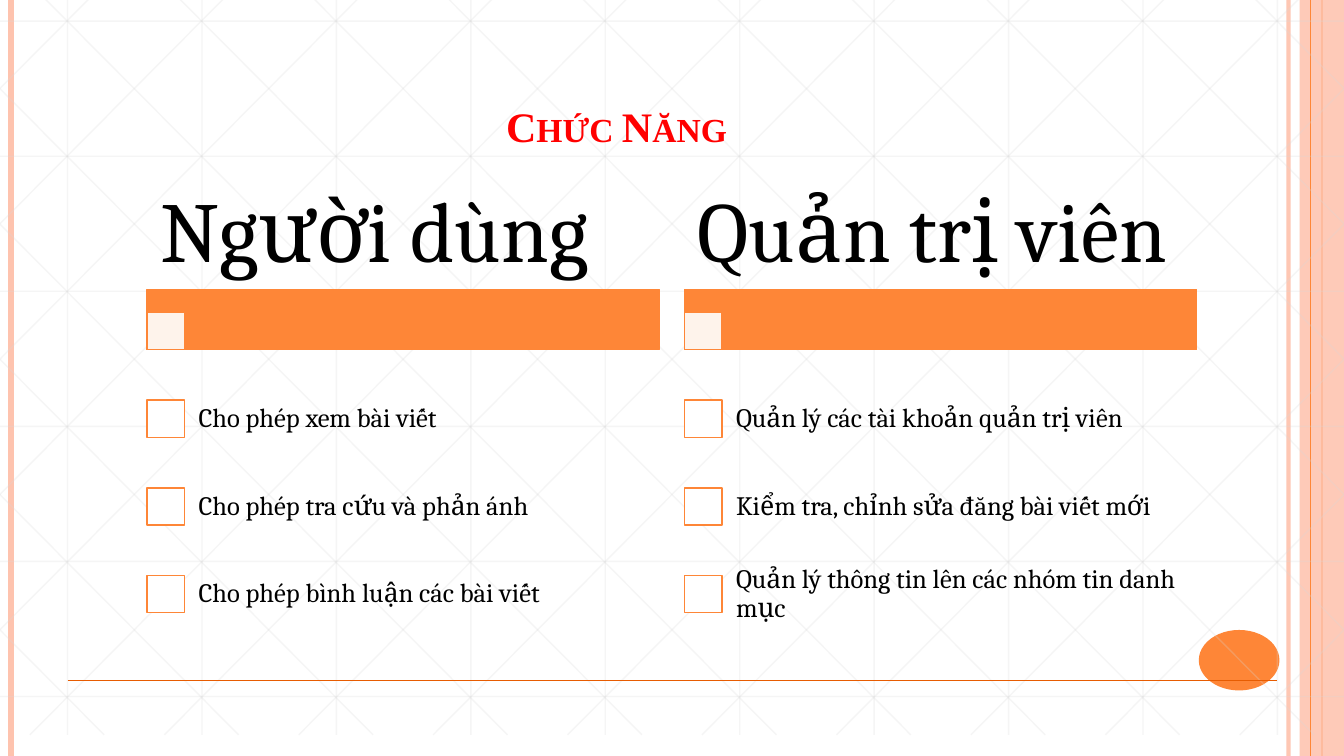
from dataclasses import dataclass

from lxml.etree import SubElement
from pptx import Presentation
from pptx.dml.color import RGBColor
from pptx.dml.fill import FillFormat
from pptx.enum.shapes import MSO_CONNECTOR, MSO_SHAPE
from pptx.enum.text import MSO_ANCHOR, MSO_AUTO_SIZE, PP_ALIGN
from pptx.oxml.ns import qn
from pptx.slide import Slide
from pptx.text.text import TextFrame
from pptx.util import Inches, Pt

WIDTH, HEIGHT = 13.33, 7.5
ORANGE, DARK_ORANGE, PEACH = "FE8637", "E75C01", "FEC3AE"
GRAY, WHITE, BLACK, RED = "D9D9D9", "FFFFFF", "000000", "FF0000"
GRID_TOP, GRID_BOTTOM = -0.21, 7.29
GRID_STEP = 4 / 3
DIAGONAL_RUN = 7.45  # horizontal reach of a full-height diagonal


@dataclass(frozen=True)
class Stroke:
    color: str
    width: float
    opacity: int = 100


@dataclass(frozen=True)
class Box:
    left: float
    top: float
    width: float
    height: float

    def lengths(self) -> tuple[Inches, Inches, Inches, Inches]:
        return Inches(self.left), Inches(self.top), Inches(self.width), Inches(self.height)


@dataclass(frozen=True)
class Role:
    left: float
    name: str
    functions: tuple[str, ...]


GRID = Stroke(GRAY, 1, 25)
OUTLINE = Stroke(ORANGE, 1)
ROLES = (
    Role(1.46, "Người dùng", (
        "Cho phép xem bài viết",
        "Cho phép tra cứu và phản ánh",
        "Cho phép bình luận các bài viết",
    )),
    Role(6.79, "Quản trị viên", (
        "Quản lý các tài khoản quản trị viên",
        "Kiểm tra, chỉnh sửa đăng bài viết mới",
        "Quản lý thông tin lên các nhóm tin danh mục",
    )),
)


def paint(fill: FillFormat, color: str, opacity: int = 100) -> None:
    fill.solid()
    fill.fore_color.rgb = RGBColor.from_string(color)
    if opacity < 100:
        srgb = fill._xPr.find(f"{qn('a:solidFill')}/{qn('a:srgbClr')}")
        SubElement(srgb, qn("a:alpha"), val=str(opacity * 1000))


def add_line(slide: Slide, x1: float, y1: float, x2: float, y2: float, stroke: Stroke) -> None:
    line = slide.shapes.add_connector(
        MSO_CONNECTOR.STRAIGHT, Inches(x1), Inches(y1), Inches(x2), Inches(y2))
    line.line.width = Pt(stroke.width)
    paint(line.line.fill, stroke.color, stroke.opacity)
    SubElement(line.element.spPr, qn("a:effectLst"))


def add_block(slide: Slide, kind: MSO_SHAPE, box: Box, color: str,
              opacity: int = 100, outline: Stroke | None = None) -> None:
    block = slide.shapes.add_shape(kind, *box.lengths())
    block.shadow.inherit = False
    paint(block.fill, color, opacity)
    if outline:
        block.line.width = Pt(outline.width)
        paint(block.line.fill, outline.color)
    else:
        block.line.fill.background()


def write(frame: TextFrame, text: str, font: str, size: float, color: str) -> None:
    frame.word_wrap = True
    frame.auto_size = MSO_AUTO_SIZE.NONE
    frame.text = text
    style = frame.paragraphs[0].font
    style.name = font
    style.size = Pt(size)
    paint(style.fill, color)


def add_label(slide: Slide, box: Box, text: str, size: float,
              side_inset: float, end_inset: float) -> None:
    frame = slide.shapes.add_textbox(*box.lengths()).text_frame
    write(frame, text, "Cambria", size, BLACK)
    frame.vertical_anchor = MSO_ANCHOR.MIDDLE
    frame.margin_left = frame.margin_right = Inches(side_inset)
    frame.margin_top = frame.margin_bottom = Inches(end_inset)
    frame.paragraphs[0].line_spacing = 0.9


def add_frame(slide: Slide) -> None:
    """Draw the bars along the left and right edges and the corner ellipse."""
    for x, stroke in (
        (12.78, Stroke(PEACH, 3, 93)),
        (0.11, Stroke(PEACH, 4.5)),
        (13.11, Stroke(ORANGE, 1.5)),
    ):
        add_line(slide, x, 0, x, HEIGHT, stroke)
    add_block(slide, MSO_SHAPE.RECTANGLE, Box(12.89, 0, 0.44, HEIGHT), PEACH, 87)
    add_line(slide, 13, 0, 13, HEIGHT, Stroke(ORANGE, 0.75))
    add_block(slide, MSO_SHAPE.OVAL, Box(11.89, 6.25, 0.8, 0.6), ORANGE)


def add_grid(slide: Slide) -> None:
    for column in range(10):
        x = 0.67 + column * GRID_STEP
        add_line(slide, x, GRID_TOP, x, GRID_BOTTOM, GRID)
    for row in range(6):
        y = 0.21 + row * 1.34
        add_line(slide, 0, y, WIDTH, y, GRID)

    slope = (GRID_BOTTOM - GRID_TOP) / DIAGONAL_RUN
    for step in range(-5, 10):
        start = 0.25 + step * GRID_STEP
        x1, x2 = max(start, 0), min(start + DIAGONAL_RUN, WIDTH)
        y1, y2 = (GRID_TOP + (x - start) * slope for x in (x1, x2))
        add_line(slide, x1, y1, x2, y2, GRID)
        add_line(slide, WIDTH - x1, y1, WIDTH - x2, y2, GRID)


def add_title(slide: Slide, text: str) -> None:
    title = slide.shapes.title
    title.left, title.top, title.width, title.height = Box(0.67, 0.3, 10.89, 1.25).lengths()
    frame = title.text_frame
    write(frame, text, "Times New Roman", 30, RED)
    frame.vertical_anchor = MSO_ANCHOR.BOTTOM
    heading = frame.paragraphs[0]
    heading.alignment = PP_ALIGN.CENTER
    heading.font.bold = True
    heading.font._element.set("cap", "small")
    title.element.getparent().append(title.element)  # bring in front of the grid


def add_role(slide: Slide, role: Role) -> None:
    marker = 0.37
    add_block(slide, MSO_SHAPE.RECTANGLE, Box(role.left, 2.87, 5.08, 0.6), ORANGE, outline=OUTLINE)
    add_block(slide, MSO_SHAPE.RECTANGLE, Box(role.left, 3.1, marker, marker), WHITE, 90, OUTLINE)
    add_label(slide, Box(role.left, 1.8, 5.08, 1.07), role.name, 61, 0.13, 0.08)
    for index, function in enumerate(role.functions):
        row = Box(role.left + 0.36, 3.72 + index * 0.87, 4.72, 0.87)
        add_block(slide, MSO_SHAPE.RECTANGLE,
                  Box(role.left, row.top + 0.25, marker, marker), WHITE, outline=OUTLINE)
        add_label(slide, row, function, 19, 0.15, 0.15)


def main() -> None:
    presentation = Presentation()
    presentation.slide_width, presentation.slide_height = Inches(WIDTH), Inches(HEIGHT)
    slide = presentation.slides.add_slide(presentation.slide_layouts.get_by_name("Title Only"))
    paint(slide.background.fill, WHITE)
    add_frame(slide)
    add_grid(slide)
    add_line(slide, 0.67, 6.75, 12.67, 6.75, Stroke(DARK_ORANGE, 1))
    add_title(slide, "Chức Năng")
    for role in ROLES:
        add_role(slide, role)
    presentation.save("out.pptx")


if __name__ == "__main__":
    main()
